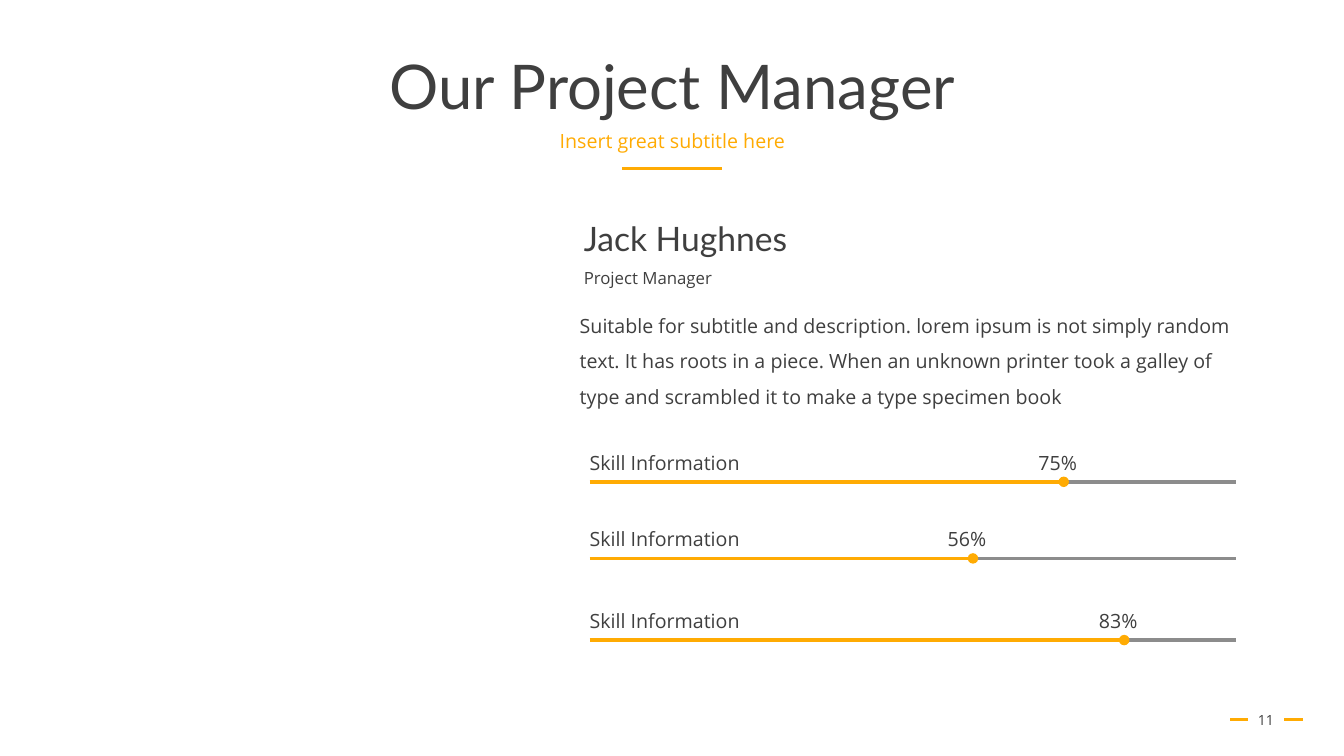
from lxml import etree
from pptx import Presentation
from pptx.dml.color import RGBColor
from pptx.enum.shapes import MSO_CONNECTOR
from pptx.enum.text import MSO_ANCHOR, MSO_AUTO_SIZE, PP_ALIGN
from pptx.oxml.ns import qn
from pptx.util import Inches, Pt

COLORS = {"accent": "FFAB03", "text": "3F3F3F", "track": "8C8C8C"}
HEADING_FONT, BODY_FONT = "Lato", "Open Sans"
STRAIGHT = MSO_CONNECTOR.STRAIGHT
TOP, MIDDLE = MSO_ANCHOR.TOP, MSO_ANCHOR.MIDDLE
LEFT, CENTER = PP_ALIGN.LEFT, PP_ALIGN.CENTER
FIT_SHAPE, NO_FIT = MSO_AUTO_SIZE.SHAPE_TO_FIT_TEXT, MSO_AUTO_SIZE.NONE

BAR_LEFT, BAR_RIGHT = 5.85, 12.26
TEXT_LEFT = 5.75
# Height of the bar, end of its filled part, value
SKILLS = [(4.78, 10.55, "75%"), (5.54, 9.65, "56%"), (6.35, 11.15, "83%")]


def format_text(shape, text, *, size=14, font=BODY_FONT, color="text", align=LEFT,
                anchor=TOP, line_spacing=1.0, space_before=0, wrap=True,
                fit=NO_FIT, insets=(0.1, 0.05)):
    """Write one paragraph into a shape and set its format."""
    frame = shape.text_frame
    frame.word_wrap = wrap
    frame.auto_size = fit
    frame.vertical_anchor = anchor
    frame.margin_left = frame.margin_right = Inches(insets[0])
    frame.margin_top = frame.margin_bottom = Inches(insets[1])
    paragraph = frame.paragraphs[0]
    paragraph.alignment = align
    paragraph.line_spacing = line_spacing
    paragraph.space_before = Pt(space_before)
    run = paragraph.add_run()
    run.text = text
    run.font.size = Pt(size)
    run.font.name = font
    run.font.color.rgb = RGBColor.from_string(COLORS[color])


def add_text(slide, text, left, top, width, height, **text_format):
    box = slide.shapes.add_textbox(Inches(left), Inches(top), Inches(width), Inches(height))
    format_text(box, text, **text_format)


def fill_placeholder(placeholder, text, left, top, width, height, **text_format):
    placeholder.left, placeholder.top = Inches(left), Inches(top)
    placeholder.width, placeholder.height = Inches(width), Inches(height)
    format_text(placeholder, text, **text_format)


def remove_bullet(paragraph):
    properties = paragraph._p.get_or_add_pPr()
    properties.set("marL", "0")
    properties.set("indent", "0")
    etree.SubElement(properties, qn("a:buNone"))


def add_line(slide, left, right, y, color="accent", width=1.75, dot=False):
    """Draw a horizontal line, with a dot at its right end if asked."""
    line = slide.shapes.add_connector(STRAIGHT, Inches(left), Inches(y), Inches(right), Inches(y))
    line.line.color.rgb = RGBColor.from_string(COLORS[color])
    line.line.width = Pt(width)
    if dot:
        etree.SubElement(line.line._get_or_add_ln(), qn("a:tailEnd"), type="oval")
    etree.SubElement(line._element.spPr, qn("a:effectLst"))


def add_skill(slide, y, value_end, value):
    add_line(slide, BAR_LEFT, BAR_RIGHT, y, color="track", width=2.5)
    add_line(slide, BAR_LEFT, value_end, y, width=2.5, dot=True)
    label_top = y - 0.36
    add_text(slide, "Skill Information", TEXT_LEFT, label_top, 1.7, 0.34,
             wrap=False, fit=FIT_SHAPE)
    add_text(slide, value, value_end - 0.35, label_top, 0.59, 0.34,
             wrap=False, fit=FIT_SHAPE)


def main():
    presentation = Presentation()
    presentation.slide_width, presentation.slide_height = Inches(13.33), Inches(7.5)
    slide = presentation.slides.add_slide(presentation.slide_layouts[1])

    # Heading
    fill_placeholder(slide.shapes.title, "Our Project Manager", 0.92, 0.4, 11.5, 0.98,
                     size=44, font=HEADING_FONT, align=CENTER, anchor=MIDDLE,
                     line_spacing=0.9)
    subtitle = slide.placeholders[1]
    fill_placeholder(subtitle, "Insert great subtitle here", 0.92, 1.26, 11.5, 0.4,
                     color="accent", align=CENTER, line_spacing=0.9, space_before=10)
    remove_bullet(subtitle.text_frame.paragraphs[0])
    add_line(slide, 6.17, 7.16, 1.67)

    # Profile
    add_text(slide, "Jack Hughnes", TEXT_LEFT, 2.17, 2.12, 0.44, size=24,
             font=HEADING_FONT, anchor=MIDDLE, line_spacing=0.9, wrap=False,
             fit=FIT_SHAPE, insets=(0.04, 0.04))
    add_text(slide, "Project Manager", TEXT_LEFT, 2.59, 1.36, 0.3, size=12,
             anchor=MIDDLE, line_spacing=1.2, wrap=False, fit=FIT_SHAPE,
             insets=(0.04, 0.04))
    add_text(slide, "Suitable for subtitle and description. lorem ipsum is not simply "
             "random text. It has roots in a piece. When an unknown printer took a "
             "galley of type and scrambled it to make a type specimen book",
             TEXT_LEFT, 3, 6.47, 1.06, line_spacing=1.5, fit=FIT_SHAPE, insets=(0, 0))

    # Skill bars
    for y, value_end, value in SKILLS:
        add_skill(slide, y, value_end, value)

    # Page number
    add_text(slide, "11", 12.26, 6.94, 0.59, 0.4, size=10, align=CENTER, anchor=MIDDLE)
    for dash_left in (12.2, 12.74):
        add_line(slide, dash_left, dash_left + 0.18, 7.14)

    presentation.save("out.pptx")


if __name__ == "__main__":
    main()
